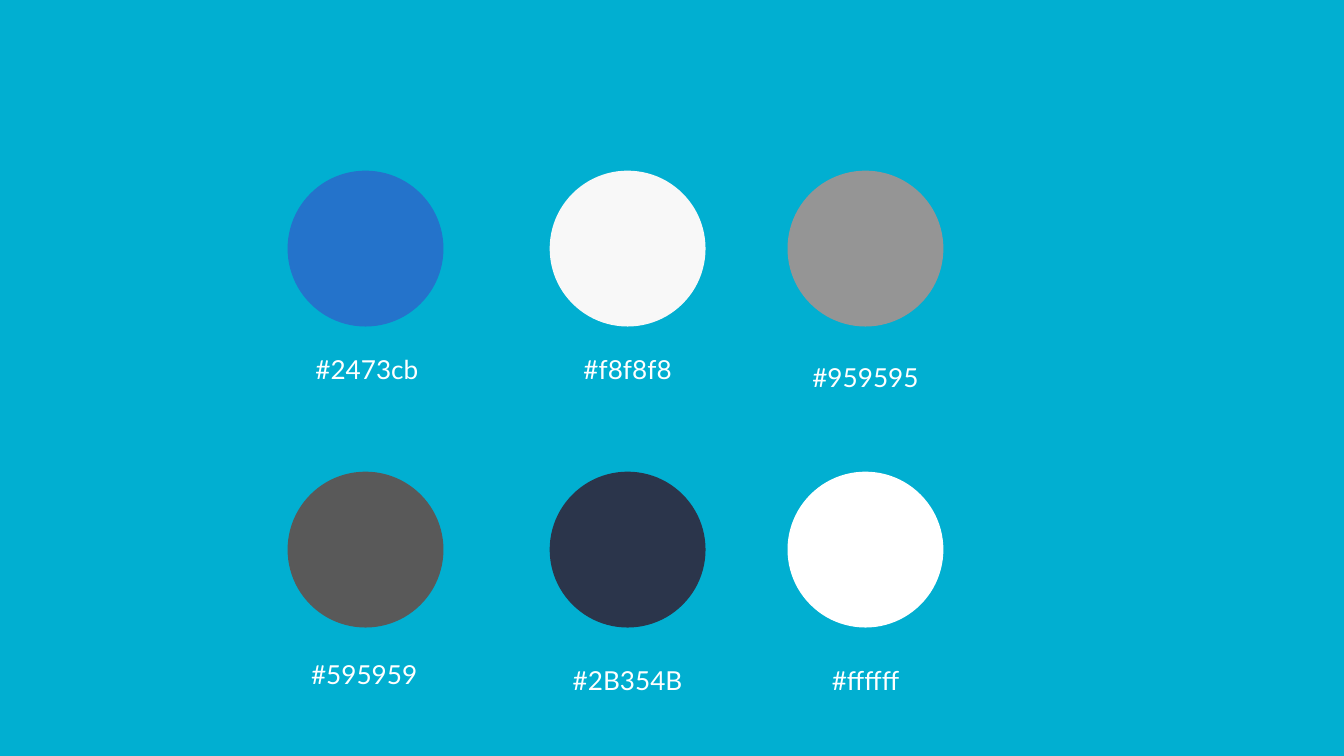
from pptx import Presentation
from pptx.dml.color import RGBColor
from pptx.enum.shapes import MSO_SHAPE
from pptx.enum.text import MSO_AUTO_SIZE, PP_ALIGN
from pptx.util import Inches, Pt

OVAL = MSO_SHAPE.OVAL
CENTER = PP_ALIGN.CENTER
GROW = MSO_AUTO_SIZE.SHAPE_TO_FIT_TEXT
CYAN = RGBColor(0x01, 0xAF, 0xD1)
WHITE = RGBColor(0xFF, 0xFF, 0xFF)

SIZE = 1.16
COLS = [2.14, 4.09, 5.86]
ROWS = [1.27, 3.51]

# Label text (also the fill colour), label left, label top
SWATCHES = [
    [("#2473cb", 2.17, 2.53), ("#f8f8f8", 4.11, 2.53), ("#959595", 5.88, 2.59)],
    [("#595959", 2.15, 4.8), ("#2B354B", 4.11, 4.84), ("#ffffff", 5.88, 4.84)],
]

prs = Presentation()
prs.slide_width = Inches(10)
prs.slide_height = Inches(10) * 9 // 16
slide = prs.slides.add_slide(prs.slide_layouts[6])
slide.background.fill.solid()
slide.background.fill.fore_color.rgb = CYAN

for top, row in zip(ROWS, SWATCHES):
    for left, (code, x, y) in zip(COLS, row):
        disc = slide.shapes.add_shape(
            OVAL, Inches(left), Inches(top), Inches(SIZE), Inches(SIZE))
        disc.shadow.inherit = False
        disc.fill.solid()
        disc.fill.fore_color.rgb = RGBColor.from_string(code[1:].upper())
        disc.line.fill.background()

        label = slide.shapes.add_textbox(
            Inches(x), Inches(y), Inches(1.12), Inches(0.44))
        frame = label.text_frame
        frame.word_wrap = True
        frame.auto_size = GROW
        frame.margin_left = frame.margin_right = Inches(0.1)
        frame.margin_top = frame.margin_bottom = Inches(0.1)
        para = frame.paragraphs[0]
        para.alignment = CENTER
        run = para.add_run()
        run.text = code
        run.font.name = "Lato"
        run.font.size = Pt(14)
        run.font.color.rgb = WHITE

prs.save("out.pptx")
